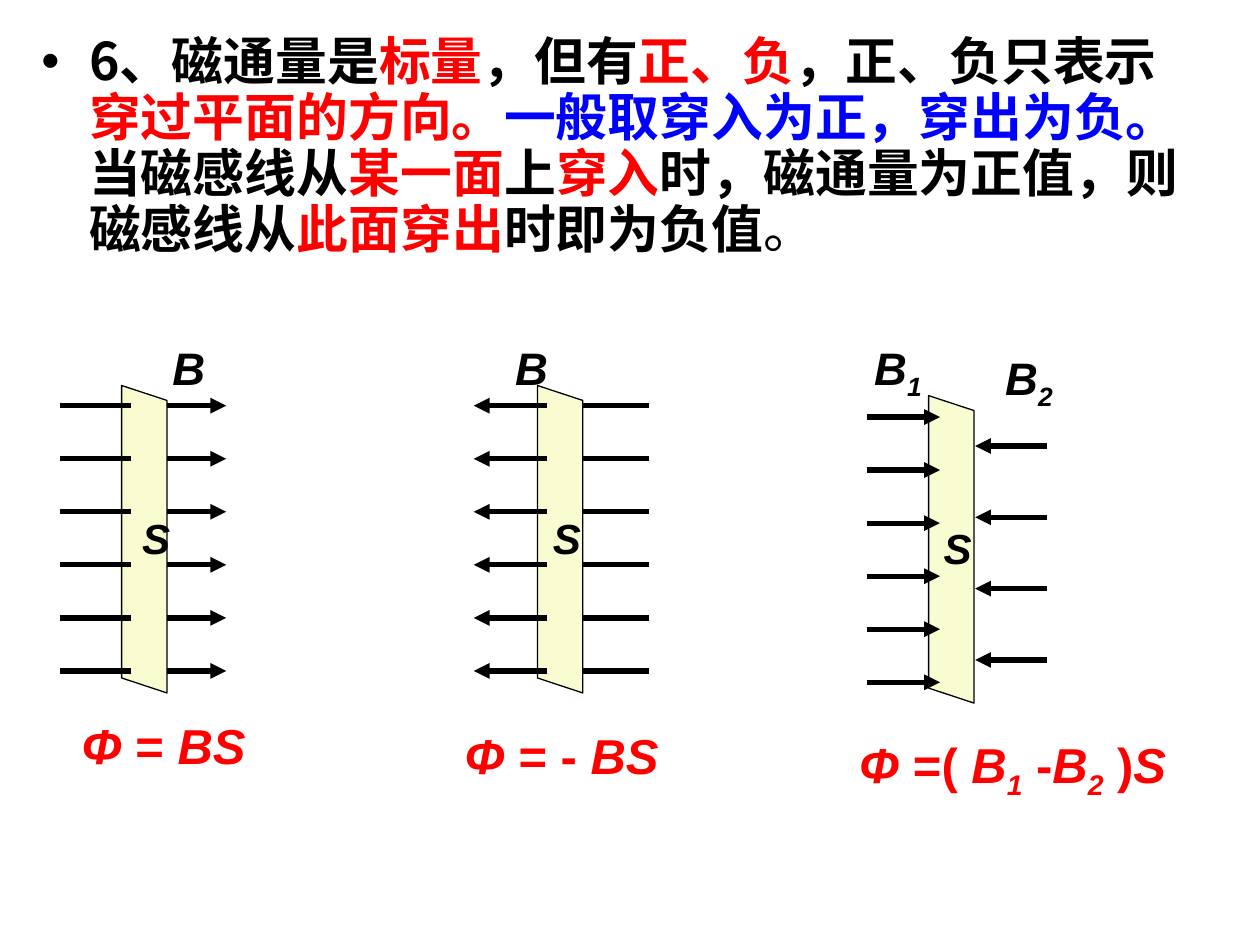
from dataclasses import dataclass

from lxml import etree
from pptx import Presentation
from pptx.dml.color import RGBColor
from pptx.enum.shapes import MSO_CONNECTOR, MSO_SHAPE
from pptx.enum.text import MSO_ANCHOR
from pptx.oxml.ns import qn
from pptx.util import Inches, Pt

LINE = MSO_CONNECTOR.STRAIGHT
PLATE = MSO_SHAPE.PARALLELOGRAM
TOP, MIDDLE = MSO_ANCHOR.TOP, MSO_ANCHOR.MIDDLE


@dataclass(frozen=True)
class Theme:
    black: str = "000000"
    red: str = "FF0000"
    blue: str = "0000FF"
    cream: str = "F8FCD0"
    latin: str = "Arial"
    han: str = "Noto Sans CJK SC"
    body: float = 29.6
    field: float = 26
    area: float = 24
    sum: float = 28
    ray: float = 3
    edge: float = 0.75


T = Theme()
ROWS = 6
STEP = 4.21  # grid rows between field lines
HIGH, WIDE = 24.4, 3.6  # plate size in grid units


def grid(n):
    """Length of n cells on a grid of 100 columns by 75 rows."""
    return Inches(n / 10)


def add_run(par, text, size, color, font, bold=True, italic=False, sub=False):
    run = par.add_run()
    run.text = text
    face = run.font
    face.size, face.bold, face.italic = Pt(size), bold, italic
    face.color.rgb = RGBColor.from_string(color)
    face.name = font
    props = run._r.get_or_add_rPr()
    etree.SubElement(props, qn("a:ea")).set("typeface", font)
    if sub:
        props.set("baseline", "-25000")


def add_box(slide, x, y, w, h, wrap=False, anchor=TOP):
    """Add a text box and return its first paragraph."""
    box = slide.shapes.add_textbox(grid(x), grid(y), grid(w), grid(h))
    frame = box.text_frame
    frame.word_wrap = wrap
    frame.vertical_anchor = anchor
    return frame.paragraphs[0]


def add_rule(slide):
    par = add_box(slide, 2.3, 2.35, 93, 25, wrap=True)
    par.line_spacing = 0.9
    props = par._p.get_or_add_pPr()
    props.set("marL", str(grid(3.8)))
    props.set("indent", str(-grid(3.8)))
    dot = etree.SubElement(props, qn("a:buClr"))
    etree.SubElement(dot, qn("a:srgbClr")).set("val", T.black)
    etree.SubElement(props, qn("a:buFont")).set("typeface", T.latin)
    etree.SubElement(props, qn("a:buChar")).set("char", "•")
    parts = [
        ("6、磁通量是", T.black), ("标量", T.red), ("，但有", T.black),
        ("正、负", T.red), ("，正、负只表示", T.black),
        ("穿过平面的方向。", T.red), ("一般取穿入为正，穿出为负。", T.blue),
        ("当磁感线从", T.black), ("某一面", T.red), ("上", T.black),
        ("穿入", T.red), ("时，磁通量为正值，则磁感线从", T.black),
        ("此面穿出", T.red), ("时即为负值", T.black),
    ]
    for text, color in parts:
        add_run(par, text, T.body, color, T.han)
    add_run(par, "。", T.body, T.black, T.han, bold=False)


def add_rays(slide, start, end, top, arrow=True, count=ROWS, step=STEP):
    """Add evenly spaced level field lines from start to end."""
    for row in range(count):
        y = grid(top + row * step)
        ray = slide.shapes.add_connector(LINE, grid(start), y, grid(end), y)
        ray.line.color.rgb = RGBColor.from_string(T.black)
        ray.line.width = Pt(T.ray)
        if arrow:
            stroke = ray.line._get_or_add_ln()
            etree.SubElement(stroke, qn("a:tailEnd")).set("type", "triangle")
        etree.SubElement(ray._element.spPr, qn("a:effectLst"))


def add_plate(slide, left, top):
    """Add the upright plate, a level parallelogram turned by 90 degrees."""
    shift = (HIGH - WIDE) / 2
    plate = slide.shapes.add_shape(
        PLATE, grid(left - shift), grid(top + shift), grid(HIGH), grid(WIDE))
    plate.rotation = 90
    plate.adjustments[0] = 0.33
    plate.shadow.inherit = False
    plate.fill.solid()
    plate.fill.fore_color.rgb = RGBColor.from_string(T.cream)
    plate.line.color.rgb = RGBColor.from_string(T.black)
    plate.line.width = Pt(T.edge)


def add_mark(slide, x, y, text, size, sub=""):
    par = add_box(slide, x, y, 7 if sub else 4.6, 5.4)
    add_run(par, text, size, T.black, T.latin, italic=True)
    if sub:
        add_run(par, sub, size, T.black, T.latin, italic=True, sub=True)


def add_sum(slide, x, y, w, parts):
    """Add a formula from pairs of text and style: i italic, s subscript."""
    par = add_box(slide, x, y, w, 6.3, anchor=MIDDLE)
    for text, style in parts:
        add_run(par, text, T.sum, T.red, T.latin,
                italic=style != "", sub=style == "s")


def add_inward(slide):
    add_rays(slide, 12.45, 17.95, 32.2)
    add_plate(slide, 9.65, 30.6)
    add_rays(slide, 4.8, 10.4, 32.2, arrow=False)
    add_mark(slide, 12.7, 26.5, "B", T.field)
    add_mark(slide, 10.3, 40.2, "S", T.area)
    add_sum(slide, 5.5, 56, 17.3, [("Φ ", "i"), ("= ", ""), ("BS", "i")])


def add_outward(slide):
    add_rays(slide, 51.5, 45.5, 32.2, arrow=False)
    add_plate(slide, 42.65, 30.6)
    add_mark(slide, 39.9, 26.5, "B", T.field)
    add_mark(slide, 42.9, 40.2, "S", T.area)
    add_rays(slide, 43.4, 37.6, 32.2)
    add_sum(slide, 35.9, 56.8, 19.6, [("Φ ", "i"), ("= - ", ""), ("BS", "i")])


def add_both(slide):
    add_plate(slide, 73.7, 31.4)
    add_mark(slide, 68.4, 26.5, "B", T.field, "1")
    add_mark(slide, 73.9, 41, "S", T.area)
    add_rays(slide, 68.8, 74.6, 33.1)
    add_rays(slide, 83.1, 77.4, 35.4, count=4, step=5.66)
    add_mark(slide, 78.8, 27.3, "B", T.field, "2")
    add_sum(slide, 67.2, 57.8, 30.5, [
        ("Φ", "i"), (" =( ", ""), ("B", "i"), ("1", "s"), (" -", ""),
        ("B", "i"), ("2", "s"), (" )", ""), ("S", "i")])


def main():
    deck = Presentation()
    deck.slide_width, deck.slide_height = grid(100), grid(75)
    slide = deck.slides.add_slide(deck.slide_layouts[6])
    add_rule(slide)
    add_inward(slide)
    add_outward(slide)
    add_both(slide)
    deck.save("out.pptx")


if __name__ == "__main__":
    main()
